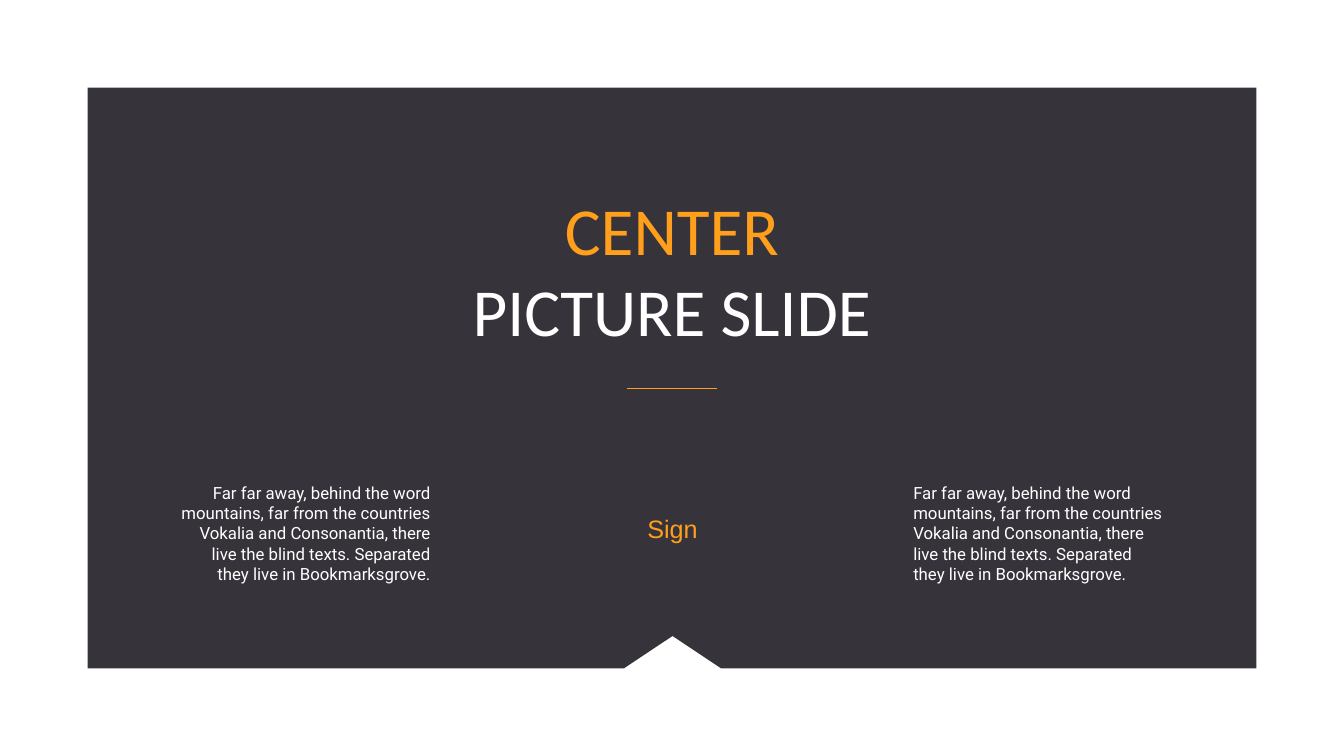
from lxml import etree
from pptx import Presentation
from pptx.dml.color import RGBColor
from pptx.enum import shapes, text
from pptx.oxml.ns import qn
from pptx.util import Inches, Pt

DARK, ORANGE, WHITE = "37333B", "FF9F1B", "FFFFFF"
BLURB = ("Far far away, behind the word mountains, far from the countries "
         "Vokalia and Consonantia, there live the blind texts. "
         "Separated they live in Bookmarksgrove.")


def rgb(value):
    """Turn a hex string into a colour."""
    return RGBColor.from_string(value)


def add_panel(s, points):
    """Draw the dark panel through the given points, in inches."""
    start, *rest = [(Inches(x), Inches(y)) for x, y in points]
    builder = s.shapes.build_freeform(*start)
    builder.add_line_segments(rest, close=True)
    sp = builder.convert_to_shape()
    sp.shadow.inherit = False
    sp.fill.solid()
    sp.fill.fore_color.rgb = rgb(DARK)
    sp.line.fill.background()
    return sp


def add_rule(s, x1, x2, y):
    """Draw a thin orange horizontal line."""
    line = s.shapes.add_connector(shapes.MSO_CONNECTOR.STRAIGHT,
                                  Inches(x1), Inches(y), Inches(x2), Inches(y))
    line.line.color.rgb = rgb(ORANGE)
    line.line.width = Pt(0.5)
    etree.SubElement(line._element.spPr, qn("a:effectLst"))


def style(p, font, size, color, align):
    """Format a whole paragraph."""
    p.alignment = align
    p.font.name = font
    p.font.size = Pt(size)
    p.font.color.rgb = rgb(color)


def fill_title(title, lines, left, top, width, height):
    """Place the title and write one paragraph per coloured line."""
    title.left, title.top = Inches(left), Inches(top)
    title.width, title.height = Inches(width), Inches(height)
    tf = title.text_frame
    tf.text = "\n".join(words for words, _ in lines)
    tf.auto_size = text.MSO_AUTO_SIZE.NONE
    tf.vertical_anchor = text.MSO_ANCHOR.TOP
    for p, (_, color) in zip(tf.paragraphs, lines):
        style(p, "Calibri", 48, color, text.PP_ALIGN.CENTER)


def add_text(s, words, left, top, width, height, font, size, color, align):
    """Add a wrapped text box with one paragraph."""
    tf = s.shapes.add_textbox(Inches(left), Inches(top),
                              Inches(width), Inches(height)).text_frame
    tf.word_wrap = True
    tf.text = words
    style(tf.paragraphs[0], font, size, color, align)


def main():
    """Build the slide and save it."""
    prs = Presentation()
    prs.slide_width, prs.slide_height = Inches(13.33), Inches(7.5)
    s = prs.slides.add_slide(prs.slide_layouts[5])
    title = s.shapes.title
    panel = add_panel(s, [(0.87, 0.87), (12.46, 0.87), (12.46, 6.63), (7.15, 6.63),
                          (6.67, 6.31), (6.19, 6.63), (0.87, 6.63)])
    title._element.addprevious(panel._element)
    fill_title(title, [("CENTER", ORANGE), ("PICTURE SLIDE", WHITE)],
               4.11, 1.82, 5.11, 1.72)
    add_rule(s, 6.22, 7.11, 3.85)
    add_text(s, "Sign", 6.1, 5.04, 1.14, 0.4, "Arial", 18, ORANGE,
             text.PP_ALIGN.CENTER)
    for left, align in ((1.7, text.PP_ALIGN.RIGHT), (8.96, text.PP_ALIGN.LEFT)):
        add_text(s, BLURB, left, 4.74, 2.67, 1.11, "Roboto", 12, WHITE, align)
    prs.save("out.pptx")


if __name__ == "__main__":
    main()
